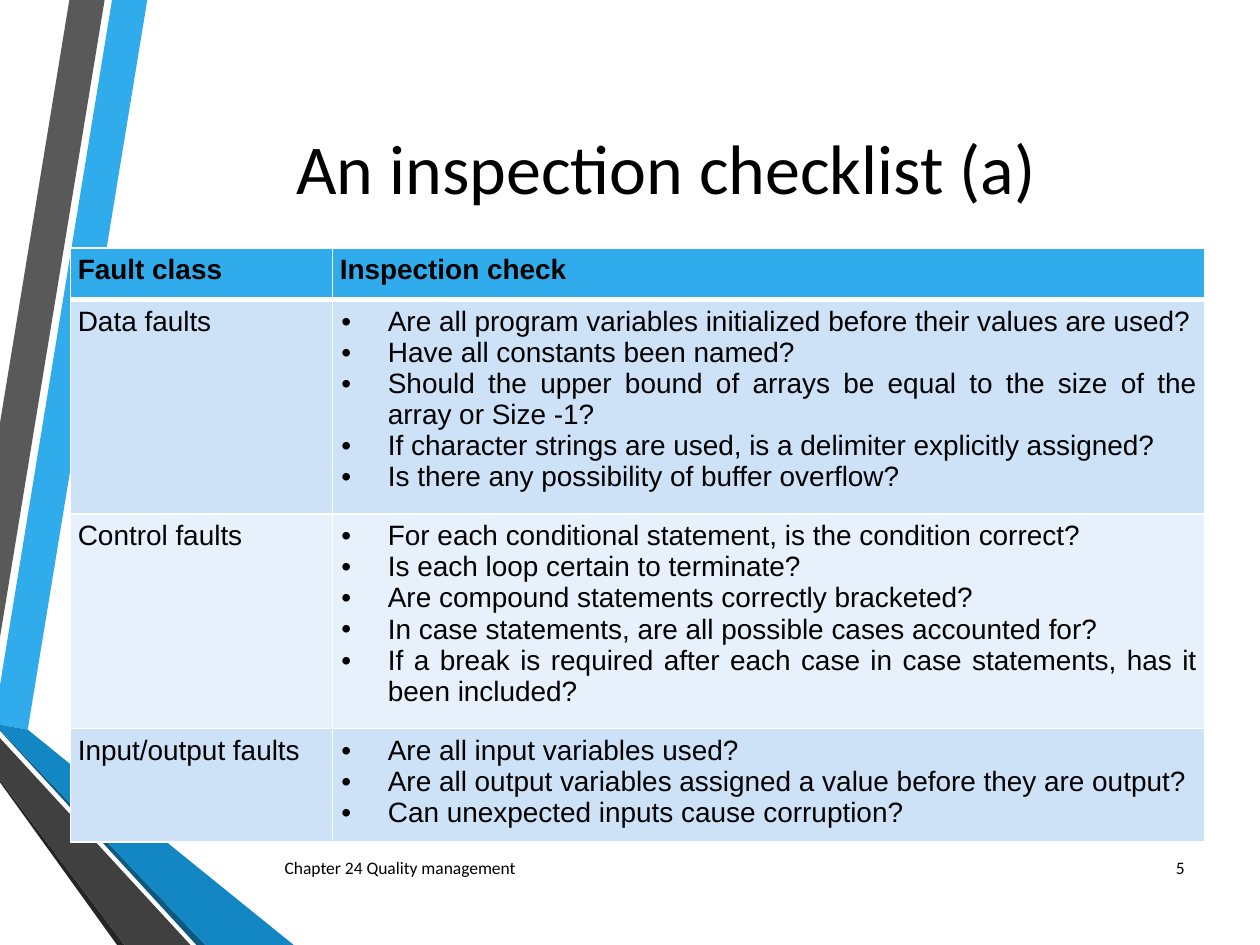
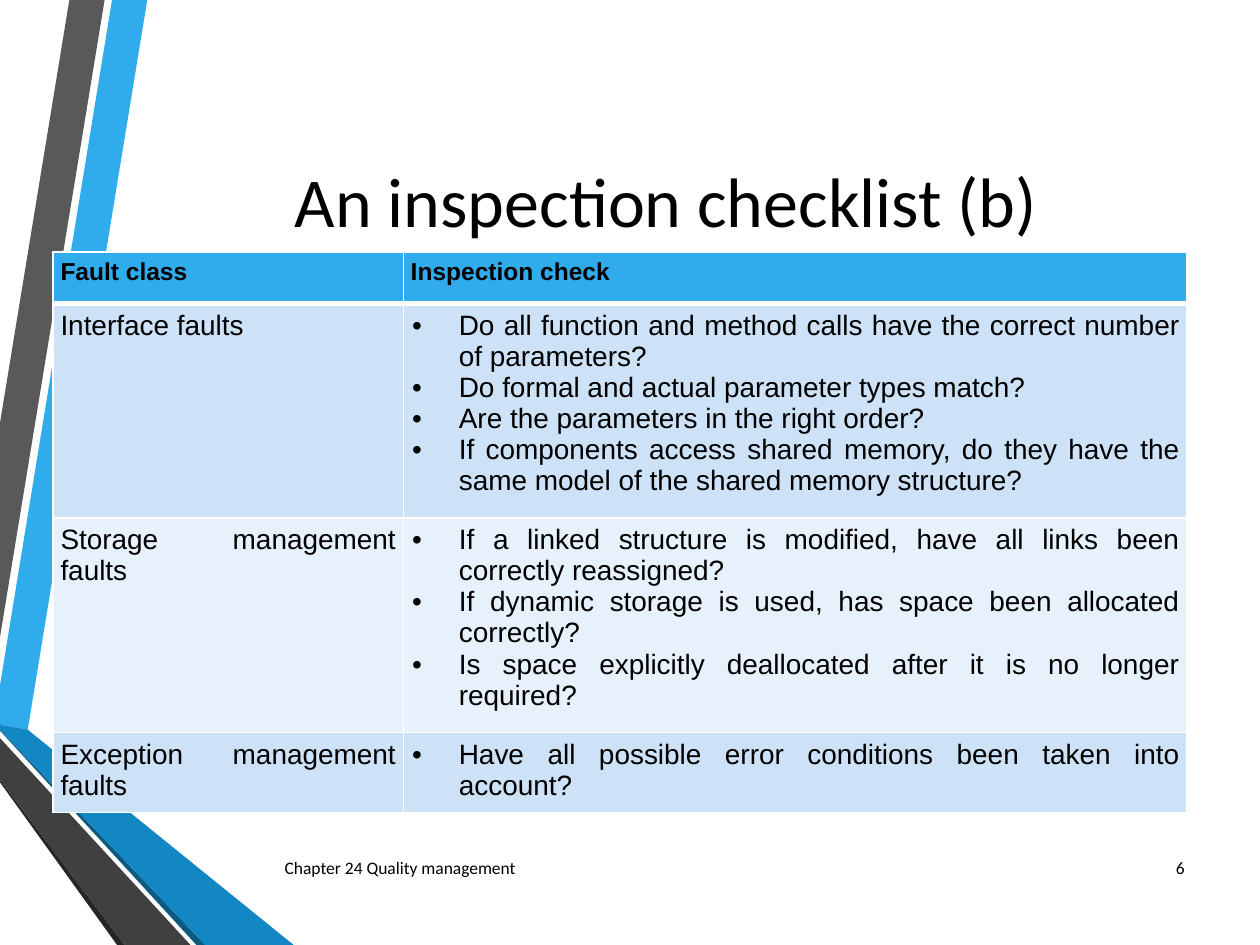
import pptx
import pptx.util
import pptx.dml.color
import pptx.enum.text
import pptx.oxml
import pptx.oxml.ns

Cm = pptx.util.Cm
Pt = pptx.util.Pt
ALIGN = pptx.enum.text.PP_ALIGN
MIDDLE = pptx.enum.text.MSO_ANCHOR.MIDDLE

BLUE, PALE, LIGHT = "30ACEC", "CDE2F7", "E7F1FB"
BLACK, WHITE = "000000", "FFFFFF"
FOOT = "Chapter 24 Quality management"
HEAD = ("Fault class", "Inspection check")

BANDS = [
    (BLUE, [(0, 13.82), (0, 14.61), (0.56, 14.71), (2.97, 0), (2.26, 0)]),
    ("595959", [(2.11, 0), (1.4, 0), (0, 8.53), (0, 12.85)]),
    ("262626", [(0, 15.72), (0, 15.77), (2.36, 19.05), (2.51, 19.05)]),
    ("0C5A82", [(0, 14.71), (0, 14.73), (3.96, 19.05), (4.14, 19.05)]),
    ("1287C3", [(0, 14.71), (4.14, 19.05), (5.92, 19.05), (0.56, 14.71), (0, 14.61)]),
    ("404040", [(0, 15.72), (2.51, 19.05), (3.84, 19.05), (0, 14.88)]),
]

PAGES = [
    dict(num="5", title="An inspection checklist (a)", top=0.61,
         at=(1.42, 5), cols=(5.28, 17.58), size=16, rows=[
             ("Data faults", [
                 "Are all program variables initialized before their values are used?",
                 "Have all constants been named?",
                 "Should the upper bound of arrays be equal to the size of the array or Size -1?",
                 "If character strings are used, is a delimiter explicitly assigned?",
                 "Is there any possibility of buffer overflow?"]),
             ("Control faults", [
                 "For each conditional statement, is the condition correct?",
                 "Is each loop certain to terminate?",
                 "Are compound statements correctly bracketed?",
                 "In case statements, are all possible cases accounted for?",
                 "If a break is required after each case in case statements, has it been included?"]),
             ("Input/output faults", [
                 "Are all input variables used?",
                 "Are all output variables assigned a value before they are output?",
                 "Can unexpected inputs cause corruption?"])]),
    dict(num="6", title="An inspection checklist (b)", top=1.27,
         at=(1.07, 5.08), cols=(7.06, 15.8), size=14, rows=[
             ("Interface faults", [
                 "Do all function and method calls have the correct number of parameters?",
                 "Do formal and actual parameter types match?",
                 "Are the parameters in the right order?",
                 "If components access shared memory, do they have the same model "
                 "of the shared memory structure?"]),
             ("Storage management faults", [
                 "If a linked structure is modified, have all links been correctly reassigned?",
                 "If dynamic storage is used, has space been allocated correctly?",
                 "Is space explicitly deallocated after it is no longer required?"]),
             ("Exception management faults", [
                 "Have all possible error conditions been taken into account?"])]),
]


def tint(code):
    return pptx.dml.color.RGBColor.from_string(code)


def node(tag, body="", **attrs):
    pairs = " ".join(f'{key}="{val}"' for key, val in attrs.items())
    names = pptx.oxml.ns.nsdecls("a")
    return pptx.oxml.parse_xml(f"<a:{tag} {names} {pairs}>{body}</a:{tag}>")


class Deck:
    def __init__(self):
        self.show = pptx.Presentation()
        self.show.slide_width = Cm(25.4)
        self.show.slide_height = Cm(19.05)
        self.slide = None

    def page(self):
        self.slide = self.show.slides.add_slide(self.show.slide_layouts[6])
        for code, spots in BANDS:
            self.band(code, spots)

    def band(self, code, spots):
        first, *rest = [(Cm(x), Cm(y)) for x, y in spots]
        pen = self.slide.shapes.build_freeform(*first)
        pen.add_line_segments(rest, close=True)
        shape = pen.convert_to_shape()
        shape.shadow.inherit = False
        shape.fill.solid()
        shape.fill.fore_color.rgb = tint(code)
        shape.line.fill.background()

    def words(self, par, text, size, face, align, bold=False):
        par.alignment = align
        run = par.add_run()
        run.text = text
        run.font.size = Pt(size)
        run.font.name = face
        run.font.bold = bold
        run.font.color.rgb = tint(BLACK)

    def label(self, text, box, size, align):
        frame = self.slide.shapes.add_textbox(*map(Cm, box)).text_frame
        frame.word_wrap = True
        frame.vertical_anchor = MIDDLE
        self.words(frame.paragraphs[0], text, size, "Calibri", align)

    def cell(self, cell, lines, size, code, edges, bold=False, dots=False):
        cell.margin_left = cell.margin_right = Cm(0.15)
        cell.margin_top = cell.margin_bottom = Cm(0.13)
        cell.fill.solid()
        cell.fill.fore_color.rgb = tint(code)
        props = cell._tc.get_or_add_tcPr()
        paint = f'<a:solidFill><a:srgbClr val="{WHITE}"/></a:solidFill>'
        for spot, side in enumerate("LRTB"):
            props.insert(spot, node(f"ln{side}", paint, w=Pt(edges.get(side, 0.96))))
        frame = cell.text_frame
        for spot, line in enumerate(lines):
            par = frame.add_paragraph() if spot else frame.paragraphs[0]
            self.words(par, line, size, "Arial", ALIGN.JUSTIFY, bold)
            if dots:
                self.dot(par)

    def dot(self, par):
        props = par._p.get_or_add_pPr()
        props.set("marL", str(Cm(0.97)))
        props.set("indent", str(Cm(-0.94)))
        props.append(node("buFont", typeface="Arial"))
        props.append(node("buChar", char="•"))

    def table(self, at, cols, rows, size):
        high = 1.04
        count = len(rows) + 1
        grid = self.slide.shapes.add_table(
            count, 2, *map(Cm, (*at, sum(cols), high * count))).table
        grid.horz_banding = False
        for col, wide in zip(grid.columns, cols):
            col.width = Cm(wide)
        for row in grid.rows:
            row.height = Cm(high)
        for col, text in enumerate(HEAD):
            self.cell(grid.cell(0, col), [text], size, BLUE, {"B": 3}, bold=True)
        for row, (fault, checks) in enumerate(rows, 1):
            code = PALE if row % 2 else LIGHT
            edges = {"T": 3} if row == 1 else {}
            self.cell(grid.cell(row, 0), [fault], 16, code, edges)
            self.cell(grid.cell(row, 1), checks, 16, code, edges, dots=True)


def main():
    deck = Deck()
    for page in PAGES:
        deck.page()
        deck.label(page["title"], (2.72, page["top"], 21.41, 5.51), 40, ALIGN.CENTER)
        deck.table(page["at"], page["cols"], page["rows"], page["size"])
        deck.label(FOOT, (5.49, 16.97, 14.76, 1.02), 10, ALIGN.LEFT)
        deck.label(page["num"], (22.94, 16.97, 1.19, 1.02), 10, ALIGN.RIGHT)
    deck.show.save("out.pptx")


if __name__ == "__main__":
    main()
